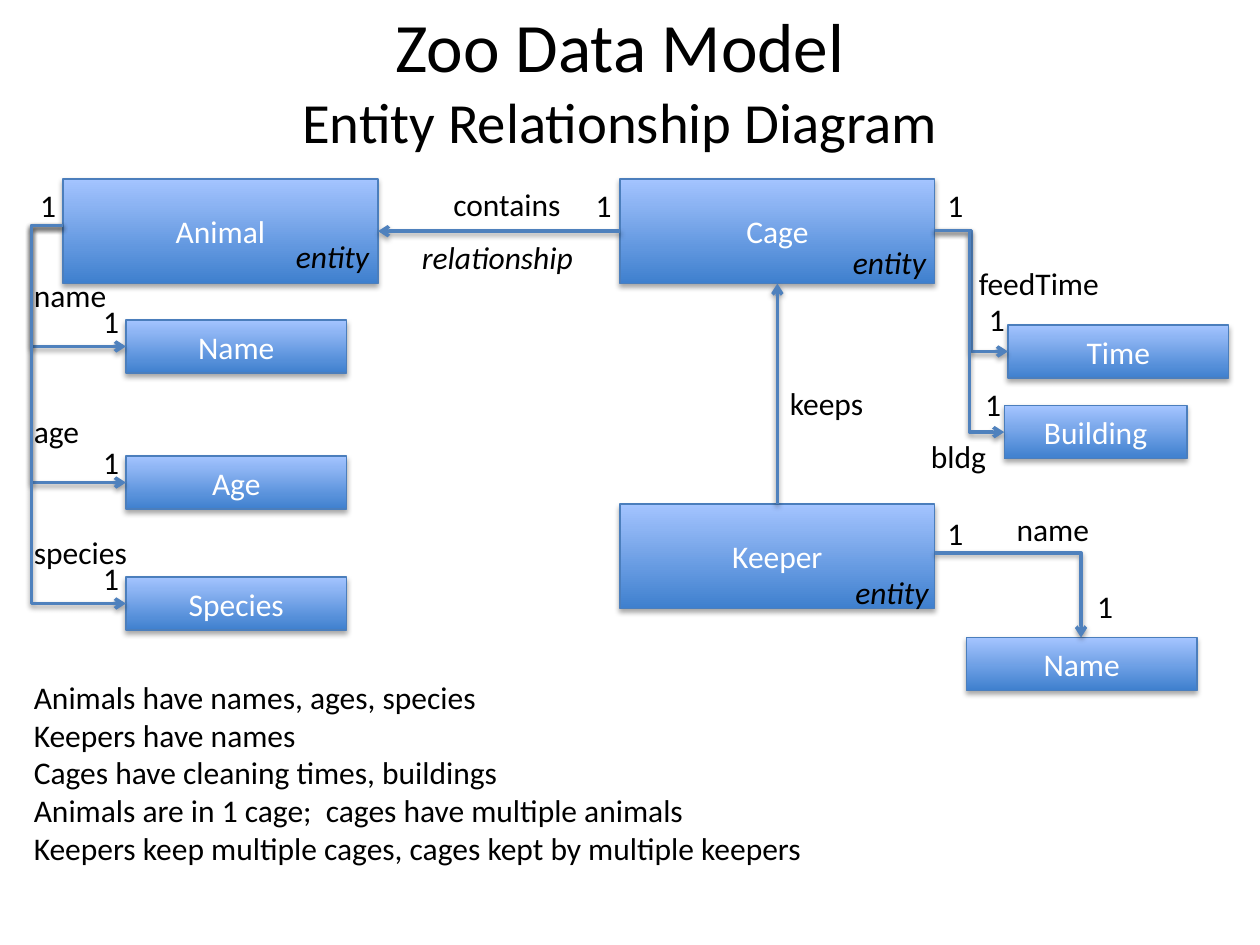
from typing import NamedTuple

from lxml import etree
from pptx import Presentation
from pptx.dml.color import RGBColor
from pptx.enum.shapes import MSO_CONNECTOR, MSO_SHAPE
from pptx.enum.text import MSO_ANCHOR, MSO_AUTO_SIZE, PP_ALIGN
from pptx.oxml.ns import qn
from pptx.util import Inches, Pt

RECT = MSO_SHAPE.RECTANGLE
STRAIGHT, ELBOW = MSO_CONNECTOR.STRAIGHT, MSO_CONNECTOR.ELBOW
MIDDLE, CENTER = MSO_ANCHOR.MIDDLE, PP_ALIGN.CENTER
FIT = MSO_AUTO_SIZE.SHAPE_TO_FIT_TEXT
TOP, LEFT, BOTTOM, RIGHT = range(4)
FONT = "Calibri"
ROW_H = 0.42
LABEL_H = 0.4


class Box(NamedTuple):
    key: str
    text: str
    x: float
    y: float
    w: float
    h: float


class Elbow(NamedTuple):
    x1: float
    y1: float
    x2: float
    y2: float
    preset: str = "bentConnector3"
    bend: float = 0.5


class Label(NamedTuple):
    text: str
    x: float
    y: float
    w: float = 0.33
    italic: bool = False


class AnimalField(NamedTuple):
    label: str
    text: str
    y: float
    one_y: float


ANIMAL_FIELDS = [
    AnimalField("name", "Name", 2.54, 2.35),
    AnimalField("age", "Age", 3.62, 3.47),
    AnimalField("species", "Species", 4.58, 4.39),
]
BOXES = [
    Box("animal", "Animal", 0.5, 1.42, 2.5, 0.83),
    Box("cage", "Cage", 4.92, 1.42, 2.5, 0.83),
    Box("keeper", "Keeper", 4.92, 4, 2.5, 0.83),
    Box("keeper_name", "Name", 7.67, 5.06, 1.83, ROW_H),
    Box("time", "Time", 8, 2.58, 1.75, ROW_H),
    Box("building", "Building", 7.97, 3.22, 1.45, ROW_H),
] + [Box(f"animal_{f.label}", f.text, 1, f.y, 1.75, ROW_H) for f in ANIMAL_FIELDS]
ELBOWS = [
    Elbow(7.42, 4.39, 8.58, 5.06, "bentConnector2"),
    Elbow(7.42, 1.83, 8, 2.79),
    Elbow(7.42, 1.83, 7.97, 3.43),
] + [Elbow(0.5, 1.79, 1, f.y + ROW_H / 2, bend=-0.5) for f in ANIMAL_FIELDS]
LABELS = [
    Label("keeps", 6.17, 3, 0.79),
    Label("1", 8.61, 4.61),
    Label("name", 7.97, 4, 0.78),
    Label("1", 7.75, 2.33),
    Label("feedTime", 7.67, 2.05, 1.16),
    Label("1", 7.42, 4.03),
    Label("1", 7.42, 1.43),
    Label("1", 0.22, 1.43),
    Label("1", 7.72, 3.01),
    Label("bldg", 7.29, 3.42, 0.64),
    Label("entity", 2.25, 1.83, 0.9, True),
    Label("entity", 6.67, 1.88, 0.83, True),
    Label("entity", 6.69, 4.5, 1.4, True),
    Label("contains", 3.5, 1.42, 1.06),
    Label("1", 4.63, 1.43),
    Label("relationship", 3.25, 1.84, 1.58, True),
]
for f, w in zip(ANIMAL_FIELDS, (0.78, 0.57, 0.95)):
    LABELS += [Label("1", 0.72, f.one_y), Label(f.label, 0.17, f.y - LABEL_H, w)]
RULES = [
    "Animals have names, ages, species",
    "Keepers have names",
    "Cages have cleaning times, buildings",
    "Animals are in 1 cage;  cages have multiple animals",
    "Keepers keep multiple cages, cages kept by multiple keepers",
]


def rgb(value: str) -> RGBColor:
    return RGBColor.from_string(value)


def add_run(p, text: str, size: float = 18, color: str = "000000", italic: bool = False) -> None:
    r = p.add_run()
    r.text = text
    r.font.name, r.font.size = FONT, Pt(size)
    r.font.color.rgb = rgb(color)
    if italic:
        r.font.italic = True


def add_shadow(effects, distance: float, opacity: int) -> None:
    shadow = etree.SubElement(effects, qn("a:outerShdw"), blurRad=str(Pt(3.1)),
                              dist=str(Pt(distance)), dir="5400000", rotWithShape="0")
    color = etree.SubElement(shadow, qn("a:srgbClr"), val="000000")
    etree.SubElement(color, qn("a:alpha"), val=str(opacity * 1000))


def add_text_box(s, x: float, y: float, w: float, h: float, wrap: bool = True):
    tf = s.shapes.add_textbox(Inches(x), Inches(y), Inches(w), Inches(h)).text_frame
    tf.word_wrap = wrap
    return tf


def add_title(s) -> None:
    tf = add_text_box(s, 0.42, 0, 9, 1.25)
    tf.vertical_anchor = MIDDLE
    p = tf.paragraphs[0]
    p.alignment = CENTER
    add_run(p, "Zoo Data Model", 39.6)
    p.add_line_break()
    add_run(p, "Entity Relationship Diagram", 32.4)


def add_box(s, box: Box):
    sp = s.shapes.add_shape(RECT, Inches(box.x), Inches(box.y), Inches(box.w), Inches(box.h))
    sp.fill.gradient()
    sp.fill.gradient_angle = 90
    for stop, color in zip(sp.fill.gradient_stops, ("3F80CE", "A4C4FF")):
        stop.color.rgb = rgb(color)
    sp.line.color.rgb = rgb("4B7EBC")
    sp.line.width = Pt(0.75)
    sp.shadow.inherit = False
    add_shadow(sp._element.spPr.find(qn("a:effectLst")), 1.8, 35)
    tf = sp.text_frame
    tf.vertical_anchor = MIDDLE
    p = tf.paragraphs[0]
    p.alignment = CENTER
    add_run(p, box.text, color="FFFFFF")
    return sp


def style_arrow(cx) -> None:
    cx.line.color.rgb = rgb("4F81BD")
    cx.line.width = Pt(2)
    spPr = cx._element.spPr
    etree.SubElement(spPr.find(qn("a:ln")), qn("a:tailEnd"), type="arrow")
    add_shadow(etree.SubElement(spPr, qn("a:effectLst")), 1.6, 38)


def add_link(s, start, start_side: int, end, end_side: int) -> None:
    cx = s.shapes.add_connector(STRAIGHT, 0, 0, 0, 0)
    cx.begin_connect(start, start_side)
    cx.end_connect(end, end_side)
    style_arrow(cx)


def add_elbow(s, e: Elbow) -> None:
    cx = s.shapes.add_connector(ELBOW, Inches(e.x1), Inches(e.y1), Inches(e.x2), Inches(e.y2))
    geom = cx._element.spPr.find(qn("a:prstGeom"))
    geom.set("prst", e.preset)
    if e.preset == "bentConnector3":
        guides = geom.find(qn("a:avLst"))
        etree.SubElement(guides, qn("a:gd"), name="adj1", fmla=f"val {round(e.bend * 100000)}")
    style_arrow(cx)


def add_label(s, label: Label) -> None:
    tf = add_text_box(s, label.x, label.y, label.w, LABEL_H, wrap=label.italic)
    tf.auto_size = FIT
    add_run(tf.paragraphs[0], label.text, italic=label.italic)


def add_rules(s) -> None:
    tf = add_text_box(s, 0.17, 5.33, 8.43, 1.62)
    tf.auto_size = FIT
    for i, rule in enumerate(RULES):
        p = tf.add_paragraph() if i else tf.paragraphs[0]
        add_run(p, rule)


def main() -> None:
    prs = Presentation()
    prs.slide_width, prs.slide_height = Inches(10), Inches(7.5)
    s = prs.slides.add_slide(prs.slide_layouts[6])
    add_title(s)
    boxes = {box.key: add_box(s, box) for box in BOXES}
    add_link(s, boxes["keeper"], TOP, boxes["cage"], BOTTOM)
    add_link(s, boxes["cage"], LEFT, boxes["animal"], RIGHT)
    for elbow in ELBOWS:
        add_elbow(s, elbow)
    for label in LABELS:
        add_label(s, label)
    add_rules(s)
    prs.save("out.pptx")


if __name__ == "__main__":
    main()
